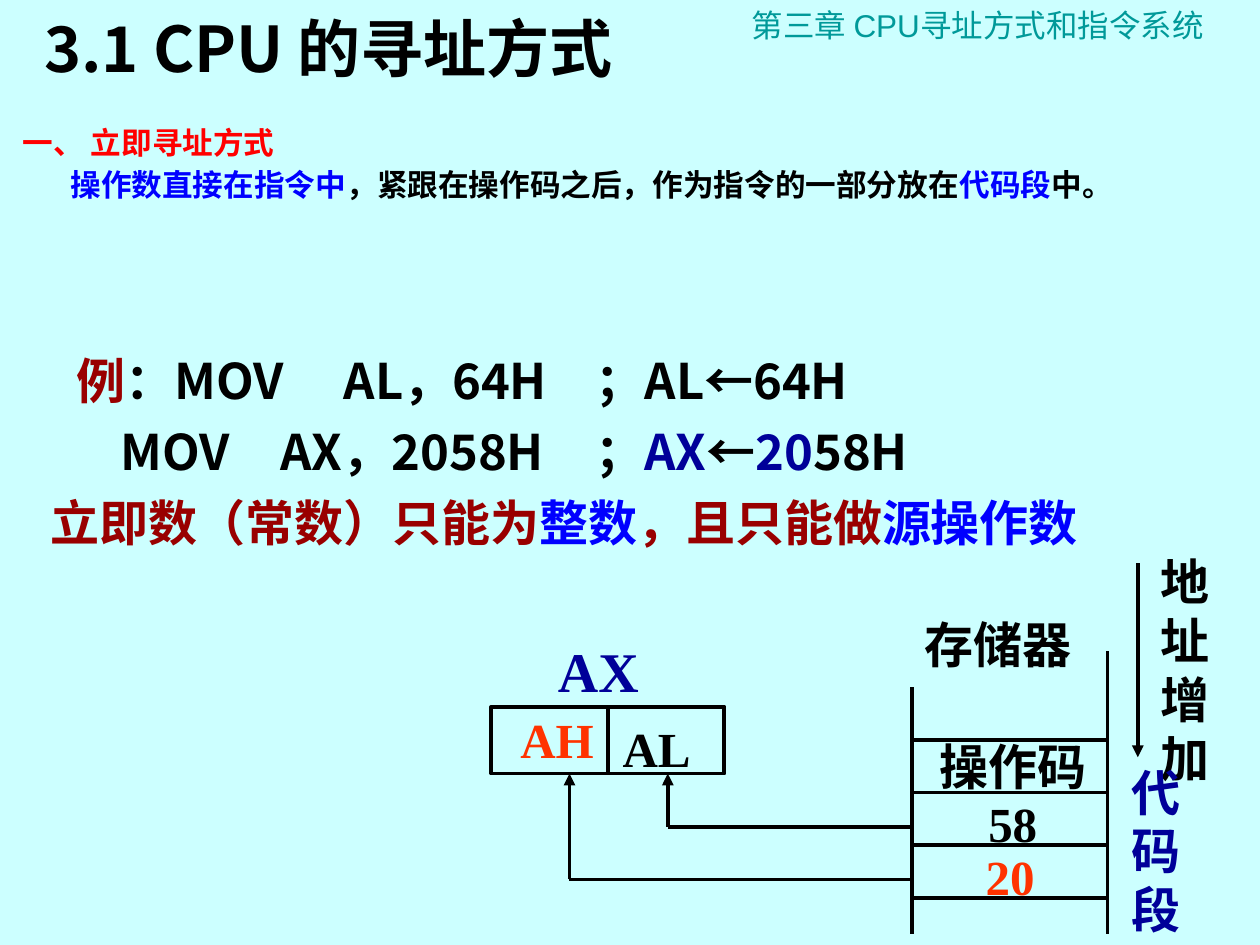
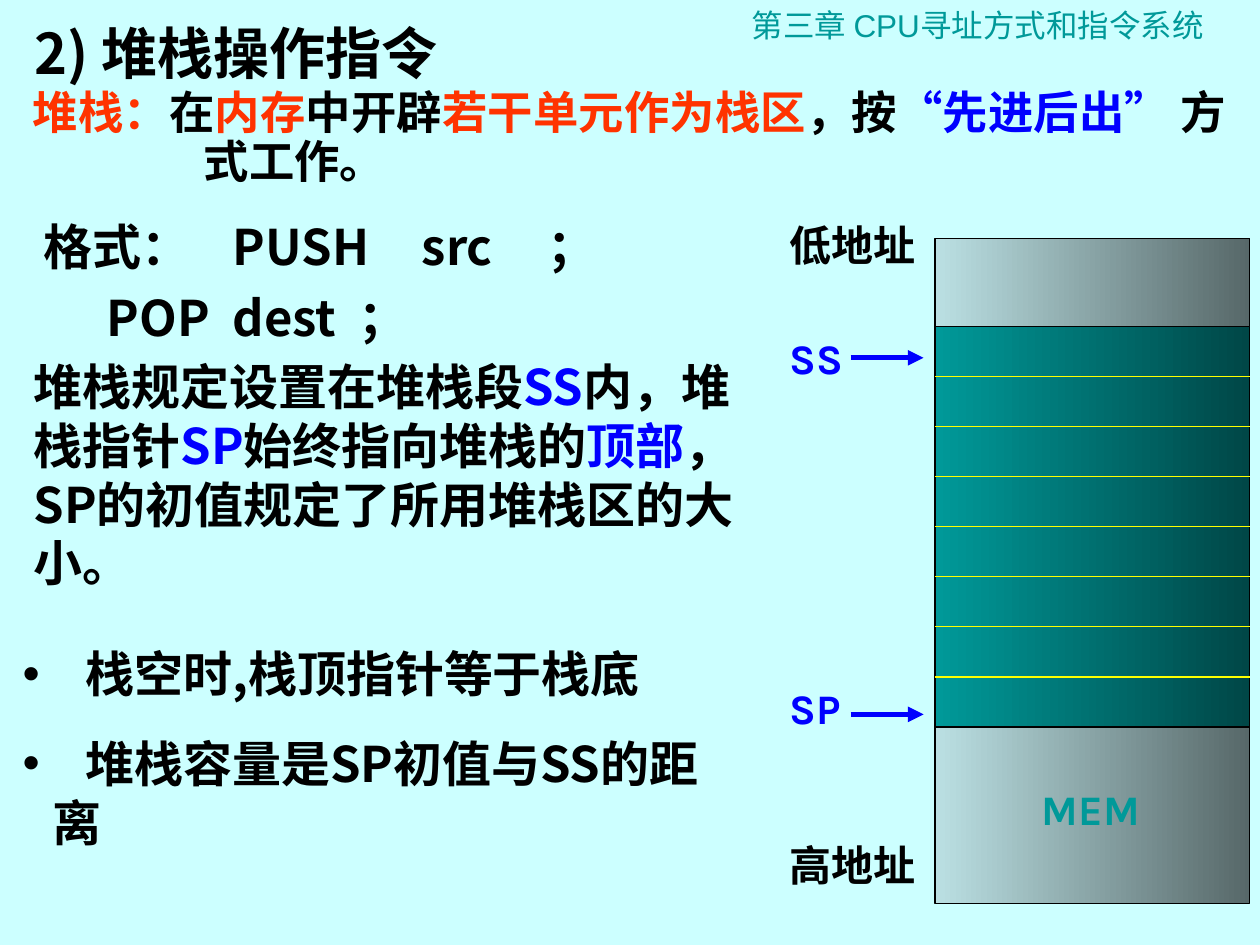
from dataclasses import dataclass

from lxml.etree import SubElement as Sub
from pptx import Presentation
from pptx.dml.color import RGBColor
from pptx.enum.shapes import MSO_CONNECTOR as Link, MSO_SHAPE as Kind
from pptx.enum.text import MSO_ANCHOR as Anchor, MSO_AUTO_SIZE as Fit, PP_ALIGN as Align
from pptx.oxml.ns import qn
from pptx.util import Inches, Pt

BLACK, BLUE, NAVY = "000000", "0000FF", "000099"
RED, ORANGE, MAROON = "FF0000", "FF3300", "990000"
TEAL, YELLOW, SKY = "009999", "FFFF00", "CCFFFF"
HAN, HAN_JP, ROMAN, KARLA = "Noto Sans CJK SC", "Noto Sans CJK JP", "Times New Roman", "Karla"
LEFT, RIGHT, JUST = Align.LEFT, Align.RIGHT, Align.JUSTIFY


@dataclass(frozen=True)
class Run:
    """A piece of text in one colour and, if named, its own font."""
    text: str
    color: str = BLACK
    face: str = ""


@dataclass(frozen=True)
class Para:
    """A paragraph with its runs and layout; lengths are in inches."""
    runs: tuple[Run, ...]
    size: float
    face: str = HAN
    align: Align = LEFT
    margin: float = 0
    indent: float = 0
    tabs: tuple[float, ...] = ()
    gap: float = 0
    lead: float = 1
    bullet: str = ""
    bold: bool = True


@dataclass(frozen=True)
class Label:
    """A one-run text box of a diagram."""
    text: str
    box: tuple[float, float, float, float]
    color: str = BLACK
    align: Align = RIGHT
    size: float = 28
    face: str = ROMAN


@dataclass(frozen=True)
class Line:
    """A straight line of a diagram, with or without an arrowhead."""
    start: tuple[float, float]
    end: tuple[float, float]
    color: str = BLACK
    width: float = 2.25
    arrow: bool = False


def paint(code: str) -> RGBColor:
    """Turn a hex string into a colour."""
    return RGBColor.from_string(code)


def style(item, para: Para) -> None:
    """Give a paragraph its layout and its runs."""
    props = item._p.get_or_add_pPr()
    props.set("marL", str(Inches(para.margin)))
    props.set("indent", str(Inches(para.indent)))
    if para.bullet:
        Sub(Sub(props, qn("a:buClr")), qn("a:srgbClr"), val=BLACK)
        Sub(props, qn("a:buFont"), typeface="Arial")
        Sub(props, qn("a:buChar"), char=para.bullet)
    else:
        Sub(props, qn("a:buNone"))
    if para.tabs:
        stops = Sub(props, qn("a:tabLst"))
        for stop in para.tabs:
            Sub(stops, qn("a:tab"), pos=str(Inches(stop)), algn="l")
    item.alignment = para.align
    item.space_before = Pt(para.gap)
    item.line_spacing = para.lead
    for part in para.runs:
        run = item.add_run()
        run.text = part.text
        font = run.font
        font.size, font.bold = Pt(para.size), para.bold
        font.color.rgb = paint(part.color)
        font.name = part.face or para.face
        east = font.name if font.name in (HAN, HAN_JP) else HAN
        Sub(run._r.get_or_add_rPr(), qn("a:ea"), typeface=east)


def write(shape, box: tuple, paras: tuple[Para, ...], anchor: Anchor = Anchor.TOP) -> None:
    """Place a text shape and fill it with paragraphs."""
    shape.left, shape.top, shape.width, shape.height = map(Inches, box)
    frame = shape.text_frame
    frame.word_wrap, frame.auto_size = True, Fit.NONE
    frame.vertical_anchor = anchor
    for index, para in enumerate(paras):
        style(frame.add_paragraph() if index else frame.paragraphs[0], para)


def add_text(slide, box: tuple, *paras: Para) -> None:
    """Add a text box."""
    write(slide.shapes.add_textbox(*map(Inches, box)), box, paras)


def add_label(slide, label: Label) -> None:
    """Add a diagram label."""
    add_text(slide, label.box, Para((Run(label.text, label.color),), label.size,
                                    label.face, label.align))


def add_line(slide, line: Line):
    """Add a straight connector."""
    link = slide.shapes.add_connector(Link.STRAIGHT, *map(Inches, line.start + line.end))
    link.line.color.rgb = paint(line.color)
    link.line.width = Pt(line.width)
    if line.arrow:
        Sub(link.line._get_or_add_ln(), qn("a:tailEnd"), type="triangle")
    Sub(link._element.spPr, qn("a:effectLst"))
    return link


def add_rect(slide, box: tuple, width: float, shades: tuple[str, ...] = ()):
    """Add a black-edged rectangle, hollow or with a gradient."""
    rect = slide.shapes.add_shape(Kind.RECTANGLE, *map(Inches, box))
    rect.shadow.inherit = False
    rect.line.color.rgb, rect.line.width = paint(BLACK), Pt(width)
    if shades:
        rect.fill.gradient()
        rect.fill.gradient_angle = 0
        for stop, shade, place in zip(rect.fill.gradient_stops, shades, (0, 1)):
            stop.color.rgb, stop.position = paint(shade), place
    else:
        rect.fill.background()
    return rect


def add_page(deck, title: str, box: tuple, size: float):
    """Add a slide with its chapter header and title."""
    slide = deck.slides.add_slide(deck.slide_layouts[1])
    add_text(slide, (5.87, 0, 3.94, 0.4),
             Para((Run("第三章 CPU寻址方式和指令系统", TEAL),), 18, "Arial", bold=False))
    write(slide.shapes.title, box, (Para((Run(title),), size),), Anchor.MIDDLE)
    return slide


def draw_modes(deck) -> None:
    """Build the slide on immediate addressing."""
    slide = add_page(deck, "3.1 CPU 的寻址方式", (0.25, 0, 6.35, 0.75), 36)
    write(slide.placeholders[1], (0.08, 0.99, 9.75, 1.58), (
        Para((Run("一、 立即寻址方式", RED),), 17.5, align=JUST, lead=0.8),
        Para((Run("操作数直接在指令中", BLUE),
              Run("，紧跟在操作码之后，作为指令的一部分放在"),
              Run("代码段", BLUE), Run("中。")),
             17.5, align=JUST, margin=0.38, gap=7, lead=0.8)))
    add_text(
        slide, (0.13, 2.73, 9.75, 1.75),
        Para((Run("例", MAROON), Run("：MOV\tAL，64H\t；AL←64H")),
             28, align=JUST, indent=0.38, tabs=(2.28, 4.7)),
        Para((Run("MOV\tAX，2058H\t；"), Run("AX", NAVY), Run("←"),
              Run("20", NAVY), Run("58H")),
             28, align=JUST, indent=0.73, tabs=(2.45, 5.17), gap=7),
        Para((Run("立即数（常数）只能为", MAROON), Run("整数", BLUE),
              Run("，且只能做", MAROON), Run("源操作数", BLUE)),
             28, align=JUST, indent=0.17, gap=7))

    base, wall, edge = 6.14, 7.24, 8.79
    pair = add_rect(slide, (3.9, 5.61, 1.85, 0.53), 2.25)
    split = add_line(slide, Line((4.83, 5.61), (4.83, base)))
    split.begin_connect(pair, 0)
    split.end_connect(pair, 2)
    for row in range(4):
        level = 5.87 + 0.42 * row
        add_line(slide, Line((wall, level), (edge, level)))
    add_line(slide, Line((edge, 5.17), (edge, 7.41)))
    add_line(slide, Line((wall, 7.41), (wall, 5.45)))
    for half, level in ((5.3, 6.56), (4.52, 6.98)):
        add_line(slide, Line((half, level), (wall, level)))
        add_line(slide, Line((half, level), (half, base), arrow=True))
    add_line(slide, Line((9.03, 4.47), (9.03, 6.01), arrow=True))
    for label in (
        Label("操作码", (7.24, 5.8, 1.48, 0.57)),
        Label("58", (7.59, 6.25, 0.74, 0.57)),
        Label("20", (7.67, 6.67, 0.64, 0.57), ORANGE),
        Label("地址增加", (9.11, 4.33, 0.47, 1.97)),
        Label("存储器", (7.24, 4.83, 1.6, 0.57), align=LEFT),
        Label("代码段", (8.79, 6, 0.68, 1.5), NAVY),
        Label("AX", (4.17, 5, 1, 0.64), NAVY, size=32),
        Label("AL", (4.05, 5.65, 1.53, 0.57)),
        Label("AH", (3.92, 5.58, 0.89, 0.57), ORANGE),
    ):
        add_label(slide, label)


def draw_stack(deck) -> None:
    """Build the slide on stack instructions."""
    slide = add_page(deck, "2) 堆栈操作指令", (0.17, 0.08, 4.08, 0.67), 32)
    add_text(slide, (0.16, 0.67, 9.67, 1), Para(
        (Run("堆栈：", ORANGE), Run("在"), Run("内存", ORANGE), Run("中开辟"),
         Run("若干单元作为栈区", ORANGE), Run("，按"),
         Run("“先进后出” ", BLUE), Run("方式工作。")),
        25.9, align=JUST, margin=1.36, indent=-1.36, lead=0.9))
    stops = (1.33, 2.73, 4.32)
    add_text(
        slide, (0.25, 1.67, 6.17, 1.25),
        Para((Run("格式："), Run("\tPUSH\tsrc\t；", face=HAN_JP)), 28, align=JUST, tabs=stops),
        Para((Run("\tPOP\tdest\t；", face=HAN_JP),), 28, align=JUST, tabs=stops, gap=7))
    add_text(slide, (0.17, 2.78, 5.92, 1.97), Para(
        (Run("堆栈规定设置在堆栈段"), Run("SS", BLUE), Run("内，堆栈指针"),
         Run("SP", BLUE), Run("始终指向堆栈的"), Run("顶部", BLUE),
         Run("，SP的初值规定了所用堆栈区的大小。")), 28))
    points = ("栈空时,栈顶指针等于栈底", "堆栈容量是SP初值与SS的距离")
    write(slide.placeholders[1], (0.08, 5.06, 5.92, 1.75), tuple(
        Para((Run("\t" + point),), 28, margin=0.24, indent=-0.24, tabs=(0.17,),
             gap=17.5 if index else 0, bullet="•")
        for index, point in enumerate(points)))

    left, wide, top, tall, cells = 7.42, 2.5, 2.59, 3.18, 8
    add_rect(slide, (left, 1.89, wide, 5.28), 0.75, ("BBE0E3", "576869"))
    add_rect(slide, (left, top, wide, tall), 0.75, (TEAL, "004747"))
    for cell in range(1, cells):
        level = top + tall * cell / cells
        add_line(slide, Line((left, level), (left + wide, level), YELLOW, 0.75))
    for level in (2.84, 5.67):
        add_line(slide, Line((6.75, level), (7.33, level), BLUE, 3, True))
    for text, side, level, color in (
        ("低地址", 6.17, 1.69, BLACK), ("高地址", 6.17, 6.61, BLACK),
        ("SS", 6.17, 2.59, BLUE), ("SP", 6.17, 5.37, BLUE), ("MEM", 8.17, 6.17, TEAL),
    ):
        add_label(slide, Label(text, (side, level, 1.25, 0.5), color, LEFT, 24, KARLA))


def main() -> None:
    """Build and save the deck."""
    deck = Presentation()
    deck.slide_width, deck.slide_height = Inches(10), Inches(7.5)
    ground = deck.slide_master.background.fill
    ground.solid()
    ground.fore_color.rgb = paint(SKY)
    draw_modes(deck)
    draw_stack(deck)
    deck.save("out.pptx")


if __name__ == "__main__":
    main()
